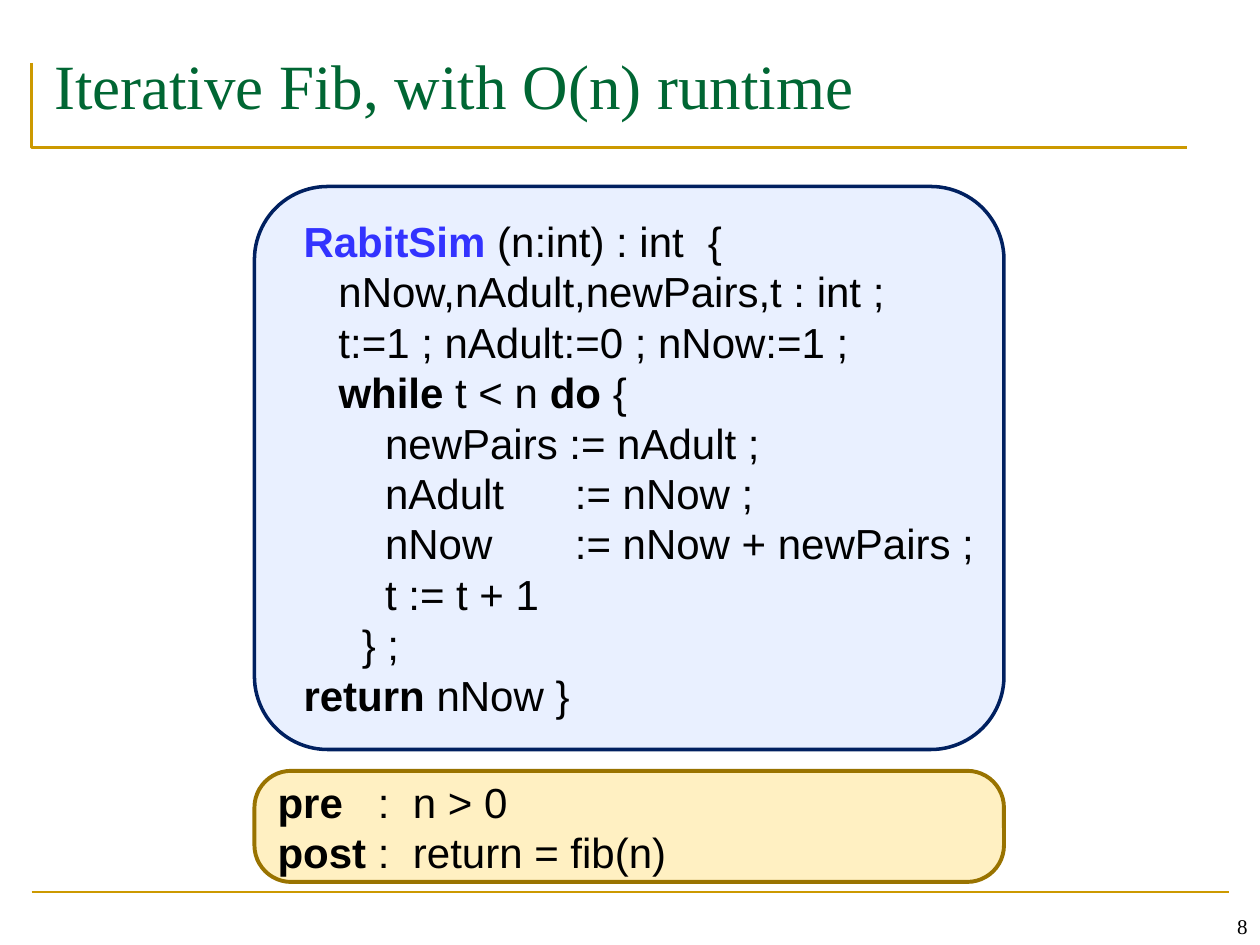
"""Build the slide on the iterative Fibonacci program."""
from dataclasses import dataclass

from lxml.etree import SubElement
from pptx import Presentation
from pptx.dml.color import RGBColor
from pptx.enum.shapes import MSO_CONNECTOR, MSO_SHAPE
from pptx.enum.text import MSO_ANCHOR, PP_ALIGN
from pptx.oxml.ns import qn
from pptx.util import Cm, Pt

GOLD = RGBColor(0xCC, 0x99, 0x00)
GREEN = RGBColor(0x00, 0x66, 0x33)
BLACK = RGBColor(0x00, 0x00, 0x00)
BLUE = RGBColor(0x33, 0x33, 0xFF)
NAVY = RGBColor(0x00, 0x20, 0x60)
SKY = RGBColor(0x66, 0x99, 0xFF)
BROWN = RGBColor(0x99, 0x73, 0x00)
CREAM = RGBColor(0xFF, 0xF0, 0xC2)
SERIF, SANS = "Times New Roman", "Arial"


@dataclass
class Panel:
    top: float
    height: float
    corner: float
    fill: RGBColor
    line: RGBColor
    width: float
    opacity: int = 100


@dataclass
class Span:
    text: str
    bold: bool = False
    color: RGBColor = BLACK


@dataclass
class Line:
    spans: list[Span]
    tabs: tuple[float, ...] = ()


ASSIGN = (5.47,)
CONTRACT = (2.02, 2.73)
PROGRAM = [
    Line([Span("RabitSim", True, BLUE), Span(" (n:int) : int\t{")], (8.15,)),
    Line([Span("   nNow,nAdult,newPairs,t : int ;")]),
    Line([Span("   t:=1 ; nAdult:=0 ; nNow:=1 ;")]),
    Line([Span("   "), Span("while", True), Span(" t < n "), Span("do ", True), Span("{")]),
    Line([Span("       newPairs := nAdult ;")]),
    Line([Span("       nAdult\t:= nNow ;")], ASSIGN),
    Line([Span("       nNow\t:= nNow + newPairs ;")], ASSIGN),
    Line([Span("       t := t + 1")]),
    Line([Span("     } ;")]),
    Line([Span("return ", True), Span("nNow }")]),
]
CONDITIONS = [
    Line([Span("pre", True), Span("\t:\tn > 0")], CONTRACT),
    Line([Span("post", True), Span("\t:\treturn = fib(n)")], CONTRACT),
]


def add_panel(shapes, panel: Panel):
    sp = shapes.add_shape(MSO_SHAPE.ROUNDED_RECTANGLE, Cm(5.13), Cm(panel.top),
                          Cm(15.11), Cm(panel.height))
    sp.adjustments[0] = panel.corner
    sp.shadow.inherit = False
    sp.fill.solid()
    sp.fill.fore_color.rgb = panel.fill
    if panel.opacity < 100:
        color = sp.fill._xPr.find(qn("a:solidFill"))[0]
        SubElement(color, qn("a:alpha"), val=str(panel.opacity * 1000))
    sp.line.color.rgb = panel.line
    sp.line.width = Pt(panel.width)
    return sp


def add_run(p, text: str, font: str, size: int, color: RGBColor, bold: bool = False) -> None:
    r = p.add_run()
    r.text = text
    r.font.name, r.font.size, r.font.bold = font, Pt(size), bold
    r.font.color.rgb = color


def write_lines(tf, lines: list[Line]) -> None:
    for i, line in enumerate(lines):
        p = tf.add_paragraph() if i else tf.paragraphs[0]
        p.alignment = PP_ALIGN.LEFT
        p.line_spacing = Pt(28.8)
        if line.tabs:
            stops = SubElement(p._p.get_or_add_pPr(), qn("a:tabLst"))
            for tab in line.tabs:
                SubElement(stops, qn("a:tab"), pos=str(Cm(tab)), algn="l")
        for span in line.spans:
            add_run(p, span.text, SANS, 24, span.color, span.bold)


def add_rules(shapes) -> None:
    builder = shapes.build_freeform(Cm(0.64), Cm(1.27))
    builder.add_line_segments([(Cm(0.64), Cm(2.97)), (Cm(23.93), Cm(2.97))], close=False)
    corner = builder.convert_to_shape()
    corner.shadow.inherit = False
    corner.fill.background()
    footer = shapes.add_connector(MSO_CONNECTOR.STRAIGHT, Cm(0.64), Cm(17.98),
                                  Cm(24.77), Cm(17.98))
    SubElement(footer._element.spPr, qn("a:effectLst"))
    for rule in (corner, footer):
        rule.line.color.rgb = GOLD
        rule.line.width = Pt(1.5)


def main() -> None:
    prs = Presentation()
    prs.slide_width, prs.slide_height = Cm(25.4), Cm(19.05)
    s = prs.slides.add_slide(prs.slide_layouts[5])
    add_rules(s.shapes)

    title = s.shapes.title
    title.left, title.top, title.width, title.height = Cm(0.84), Cm(0.81), Cm(23.7), Cm(2.54)
    title.text_frame.vertical_anchor = MSO_ANCHOR.TOP
    p = title.text_frame.paragraphs[0]
    p.alignment = PP_ALIGN.LEFT
    add_run(p, "Iterative Fib, with O(n) runtime", SERIF, 36, GREEN)

    add_panel(s.shapes, Panel(3.76, 11.35, 0.13, SKY, NAVY, 2, 14))
    code = s.shapes.add_textbox(Cm(5.87), Cm(4.22), Cm(14.35), Cm(10.52))
    code.text_frame.word_wrap = True
    write_lines(code.text_frame, PROGRAM)

    contract = add_panel(s.shapes, Panel(15.54, 2.24, 0.33, CREAM, BROWN, 2.25))
    contract.text_frame.vertical_anchor = MSO_ANCHOR.MIDDLE
    write_lines(contract.text_frame, CONDITIONS)

    number = s.shapes.add_textbox(Cm(19.48), Cm(17.78), Cm(5.92), Cm(1.27))
    number.text_frame.word_wrap = True
    number.text_frame.vertical_anchor = MSO_ANCHOR.BOTTOM
    p = number.text_frame.paragraphs[0]
    p.alignment = PP_ALIGN.RIGHT
    add_run(p, "8", SERIF, 12, BLACK)

    prs.save("out.pptx")


if __name__ == "__main__":
    main()
